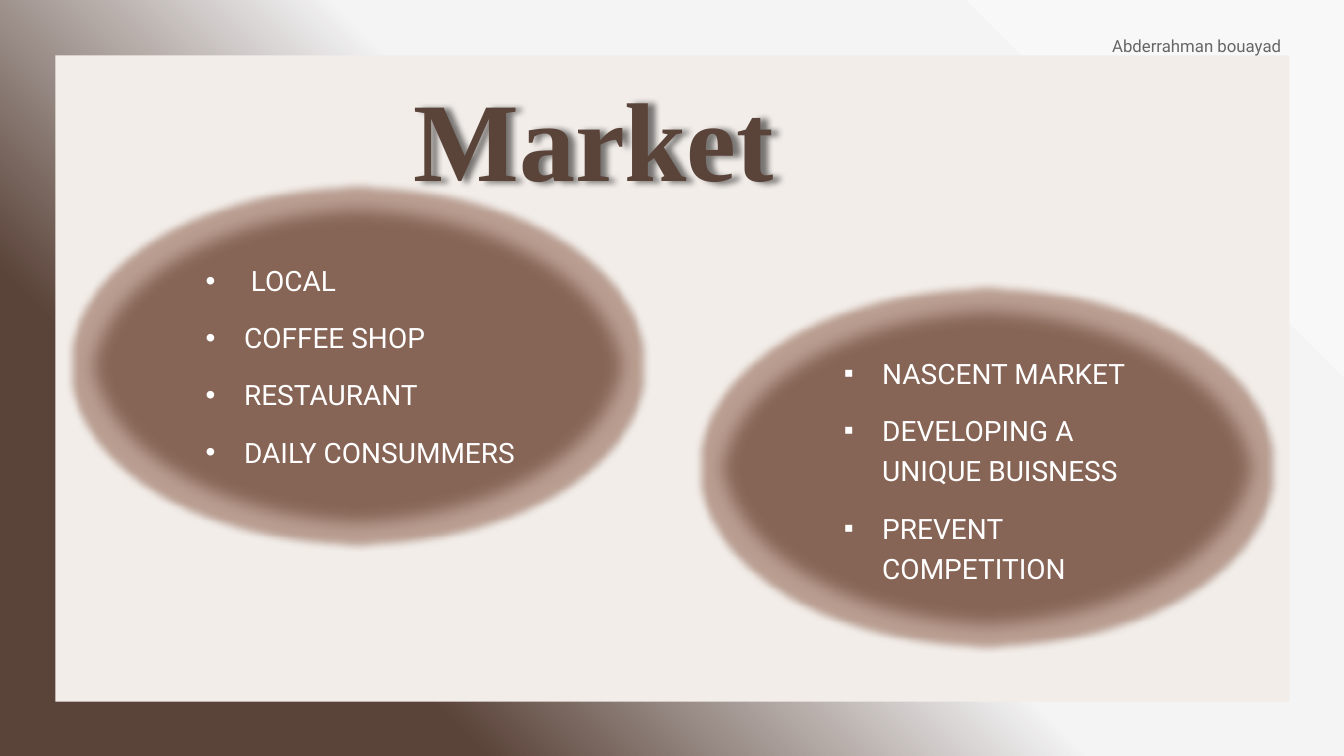
from lxml import etree
from pptx import Presentation
from pptx.dml.color import RGBColor
from pptx.enum.shapes import MSO_SHAPE as Shape
from pptx.enum.text import MSO_ANCHOR as Anchor, MSO_AUTO_SIZE as AutoSize, PP_ALIGN as Align
from pptx.oxml import parse_xml
from pptx.oxml.ns import nsdecls, qn
from pptx.util import Inches, Pt

COFFEE = RGBColor(0x5A, 0x43, 0x39)
MOCHA = RGBColor(0x87, 0x65, 0x56)
CREAM = RGBColor(0xF2, 0xED, 0xE9)
WHITE = RGBColor(0xFF, 0xFF, 0xFF)
GREY = RGBColor(0x66, 0x66, 0x66)
OUTLINE = RGBColor(0x1D, 0x16, 0x10)

TITLE = "Market"
AUTHOR = "Abderrahman bouayad"
BACKDROP_STOPS = [(23, "5A4339"), (52, "F4F4F5"), (64, "F4F4F5"), (100, "F8F8F8")]
OVAL_SIZE = (5.55, 3.39)
# oval left and top, list frame, bullet, items
GROUPS = [
    ((0.77, 1.93), (2.04, 2.55, 3.45, 2.09), "•",
     [" LOCAL", "COFFEE SHOP", "RESTAURANT", "DAILY CONSUMMERS"]),
    ((7.01, 2.94), (8.37, 3.47, 3.29, 2.33), "▪",
     ["NASCENT MARKET", "DEVELOPING A UNIQUE BUISNESS", "PREVENT COMPETITION"]),
]

OVAL_EFFECTS = (
    f'<a:effectLst {nsdecls("a")}>'
    '<a:glow rad="139700"><a:srgbClr val="915237"><a:alpha val="40000"/></a:srgbClr></a:glow>'
    '<a:outerShdw blurRad="12700" dist="12700" dir="2700000">'
    '<a:srgbClr val="000000"><a:alpha val="30000"/></a:srgbClr></a:outerShdw>'
    '<a:softEdge rad="158750"/></a:effectLst>')
TITLE_EFFECTS = (
    f'<a:effectLst {nsdecls("a")}>'
    '<a:outerShdw blurRad="50800" dist="50800" dir="0">'
    '<a:srgbClr val="000000"><a:alpha val="50000"/></a:srgbClr></a:outerShdw></a:effectLst>')


def paint_backdrop(page):
    fill = page.background.fill
    fill.gradient()
    fill.gradient_angle = 45
    stops = page.background._cSld.find(f".//{qn('a:gsLst')}")
    for stop in list(stops):
        stops.remove(stop)
    for percent, colour in BACKDROP_STOPS:
        stop = etree.SubElement(stops, qn("a:gs"), pos=str(percent * 1000))
        etree.SubElement(stop, qn("a:srgbClr"), val=colour)


def add_filled(page, kind, frame, colour):
    shape = page.shapes.add_shape(kind, *map(Inches, frame))
    shape.fill.solid()
    shape.fill.fore_color.rgb = colour
    shape.line.fill.background()
    shape.shadow.inherit = False
    return shape


def set_effects(shape, effects):
    properties = shape._element.spPr
    for old in properties.findall(qn("a:effectLst")):
        properties.remove(old)
    properties.append(parse_xml(effects))


def write(box, lines, font, size, colour, bullet=None, wrap=True):
    frame = box.text_frame
    frame.margin_left = frame.margin_right = frame.margin_top = frame.margin_bottom = 0
    frame.word_wrap = wrap
    frame.auto_size = AutoSize.SHAPE_TO_FIT_TEXT
    frame.vertical_anchor = Anchor.TOP
    for index, line in enumerate(lines):
        para = frame.add_paragraph() if index else frame.paragraphs[0]
        para.text = line
        para.alignment = Align.LEFT
        para.line_spacing = 1.2
        para.space_before = Pt(12 if index else 0)
        if bullet:
            layout = para._p.get_or_add_pPr()
            layout.set("marL", str(Inches(0.38)))
            layout.set("indent", str(-Inches(0.38)))
            etree.SubElement(layout, qn("a:buFont"), typeface="Arial")
            etree.SubElement(layout, qn("a:buChar"), char=bullet)
        para.font.name = font
        para.font.size = Pt(size)
        para.font.color.rgb = colour


def add_text(page, frame, *args, **options):
    box = page.shapes.add_textbox(*map(Inches, frame))
    write(box, *args, **options)


def add_title(page):
    title = page.shapes.title
    title.left, title.top, title.width, title.height = map(Inches, (4.1, 0.42, 6.41, 1.47))
    write(title, [TITLE], "Times New Roman", 80, COFFEE)
    para = title.text_frame.paragraphs[0]
    para.font.bold = True
    outline = parse_xml(
        f'<a:ln {nsdecls("a")} w="9525"><a:solidFill>'
        f'<a:srgbClr val="{OUTLINE}"/></a:solidFill></a:ln>')
    para.runs[0]._r.get_or_add_rPr().insert(0, outline)
    set_effects(title, TITLE_EFFECTS)


def main():
    deck = Presentation()
    deck.slide_width, deck.slide_height = Inches(13.33), Inches(7.5)
    page = deck.slides.add_slide(deck.slide_layouts[5])
    paint_backdrop(page)

    panel = add_filled(page, Shape.RECTANGLE, (0.55, 0.55, 12.24, 6.41), CREAM)
    page.shapes.title._element.addprevious(panel._element)
    add_title(page)

    for corner, *_ in GROUPS:
        oval = add_filled(page, Shape.OVAL, corner + OVAL_SIZE, MOCHA)
        set_effects(oval, OVAL_EFFECTS)
    for _, frame, bullet, items in GROUPS:
        add_text(page, frame, items, "Roboto", 20, WHITE, bullet=bullet)
    add_text(page, (11.03, 0.31, 1.7, 0.22), [AUTHOR], "Roboto", 12, GREY, wrap=False)
    deck.save("out.pptx")


if __name__ == "__main__":
    main()
